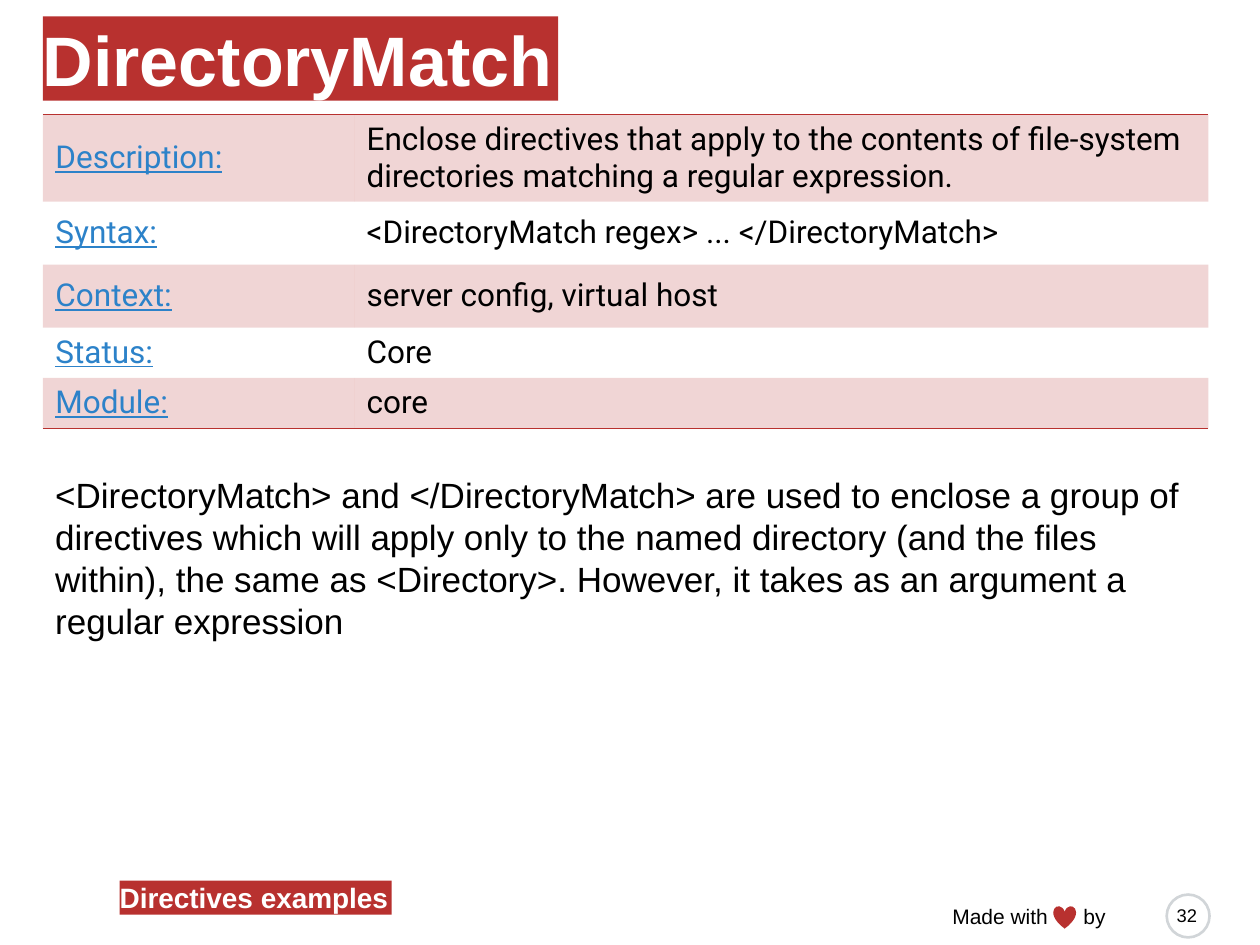
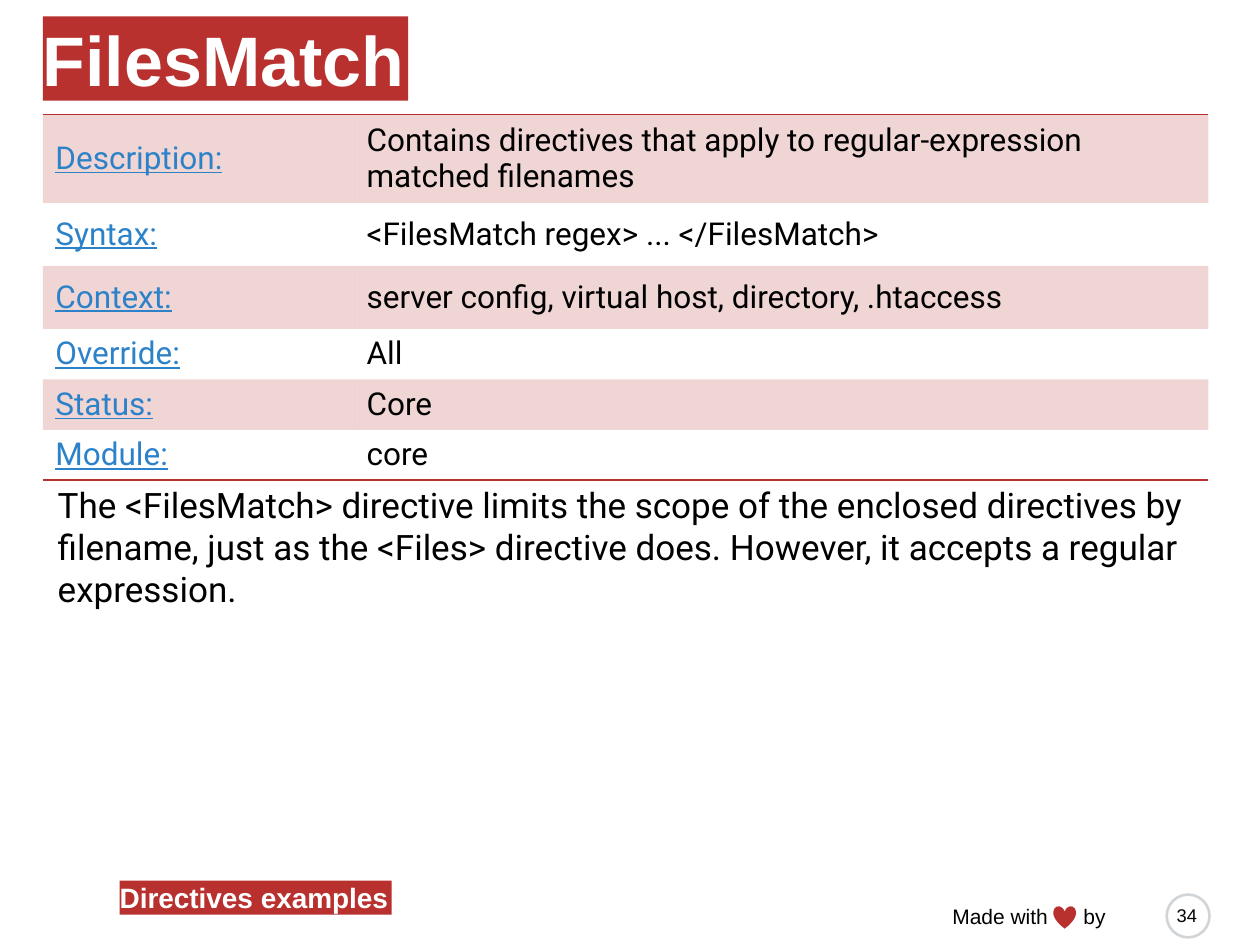
from dataclasses import dataclass

from lxml.etree import SubElement
from pptx import Presentation
from pptx.dml.color import RGBColor
from pptx.enum.shapes import MSO_SHAPE
from pptx.enum.text import MSO_ANCHOR, PP_ALIGN
from pptx.oxml.ns import qn
from pptx.util import Inches, Pt


@dataclass(frozen=True)
class Theme:
    """Colours, fonts and type sizes shared by all slides."""

    accent: str = "B8312F"
    link: str = "2C82C9"
    text: str = "000000"
    paper: str = "FFFFFF"
    ring: str = "D1D5D8"
    sans: str = "Arial"
    table: str = "Roboto"
    title_size: float = 40
    body_size: float = 20
    cell_size: float = 18
    section_size: float = 16
    credit_size: float = 12
    number_size: float = 10.5
    tint_percent: int = 20
    rule_width: float = 1
    ring_width: float = 1.5


THEME = Theme()

DIRECTIVES = [
    {
        "name": "DirectoryMatch",
        "title_width": 4.09,
        "facts": [
            ("Description:", "Enclose directives that apply to the contents of file-system "
             "directories matching a regular expression."),
            ("Syntax:", "<DirectoryMatch regex> ... </DirectoryMatch>"),
            ("Context:", "server config, virtual host"),
            ("Status:", "Core"),
            ("Module:", "core"),
        ],
        "explanation": "<DirectoryMatch> and </DirectoryMatch> are used to enclose a group of "
        "directives which will apply only to the named directory (and the files within), the "
        "same as <Directory>. However, it takes as an argument a regular expression",
        "explanation_box": (0.34, 3.71, 9.14, 1.45),
        "explanation_font": THEME.sans,
        "number": 32,
    },
    {
        "name": "FilesMatch",
        "title_width": 2.9,
        "facts": [
            ("Description:", "Contains directives that apply to regular-expression matched "
             "filenames"),
            ("Syntax:", "<FilesMatch regex> ... </FilesMatch>"),
            ("Context:", "server config, virtual host, directory, .htaccess"),
            ("Override:", "All"),
            ("Status:", "Core"),
            ("Module:", "core"),
        ],
        "explanation": "The <FilesMatch> directive limits the scope of the enclosed directives "
        "by filename, just as the <Files> directive does. However, it accepts a regular "
        "expression.",
        "explanation_box": (0.36, 3.79, 9.14, 1.11),
        "explanation_font": THEME.table,
        "number": 34,
    },
]


def inches(box):
    """Convert a box of plain numbers to lengths."""
    return [Inches(length) for length in box]


def style(paragraph, size, color, font=THEME.sans, bold=False, underline=False):
    """Format the runs of a left-aligned paragraph."""
    paragraph.alignment = PP_ALIGN.LEFT
    for run in paragraph.runs:
        run.font.size = Pt(size)
        run.font.name = font
        run.font.bold = bold
        run.font.underline = underline
        run.font.color.rgb = RGBColor.from_string(color)


def add_text(slide, box, text, size, font=THEME.sans):
    """Add a wrapping text box and return its paragraph."""
    frame = slide.shapes.add_textbox(*inches(box)).text_frame
    frame.word_wrap = True
    frame.text = text
    style(frame.paragraphs[0], size, THEME.text, font)
    return frame.paragraphs[0]


def add_figure(slide, preset, box, fill, outline=None):
    """Add a flat preset shape with an optional outline."""
    figure = slide.shapes.add_shape(preset, *inches(box))
    figure.shadow.inherit = False
    figure.fill.solid()
    figure.fill.fore_color.rgb = RGBColor.from_string(fill)
    if outline:
        figure.line.color.rgb = RGBColor.from_string(outline)
        figure.line.width = Pt(THEME.ring_width)
    else:
        figure.line.fill.background()
    return figure


def add_label(slide, box, text, size):
    """Add bold white text on a tight accent band."""
    frame = add_figure(slide, MSO_SHAPE.RECTANGLE, box, THEME.accent).text_frame
    frame.margin_left = frame.margin_right = frame.margin_top = frame.margin_bottom = 0
    frame.vertical_anchor = MSO_ANCHOR.MIDDLE
    frame.word_wrap = False
    frame.text = text
    style(frame.paragraphs[0], size, THEME.paper, bold=True)


def set_borders(cell, ruled_sides):
    """Rule the given sides of a cell and clear the others."""
    properties = cell._tc.get_or_add_tcPr()
    for side in "LRTB":
        border = SubElement(properties, qn(f"a:ln{side}"), w=str(Pt(THEME.rule_width)))
        if side in ruled_sides:
            solid = SubElement(border, qn("a:solidFill"))
            SubElement(solid, qn("a:srgbClr"), val=THEME.accent)
        else:
            SubElement(border, qn("a:noFill"))


def set_tint(cell):
    """Fill a cell with the translucent accent colour."""
    cell.fill.solid()
    cell.fill.fore_color.rgb = RGBColor.from_string(THEME.accent)
    color = cell._tc.tcPr.find(f"{qn('a:solidFill')}/{qn('a:srgbClr')}")
    SubElement(color, qn("a:alpha"), val=str(THEME.tint_percent * 1000))


def add_facts(slide, left, top, facts):
    """Add the banded table of directive facts."""
    column_widths = (2.47, 6.78)
    row_heights = [0.69, 0.5, 0.5] + [0.4] * (len(facts) - 3)
    box = (left, top, sum(column_widths), sum(row_heights))
    table = slide.shapes.add_table(len(facts), 2, *inches(box)).table
    table.first_row = table.horz_banding = False
    for column, width in zip(table.columns, column_widths):
        column.width = Inches(width)
    for index, (fact, height) in enumerate(zip(facts, row_heights)):
        table.rows[index].height = Inches(height)
        ruled_sides = "T" * (index == 0) + "B" * (index == len(facts) - 1)
        for column, text in enumerate(fact):
            cell = table.cell(index, column)
            cell.vertical_anchor = MSO_ANCHOR.MIDDLE
            cell.text = text
            is_term = column == 0
            style(cell.text_frame.paragraphs[0], THEME.cell_size,
                  THEME.link if is_term else THEME.text, THEME.table, underline=is_term)
            set_borders(cell, ruled_sides)
            if index % 2 == 0:
                set_tint(cell)
            else:
                cell.fill.background()


def add_footer(slide, left, top, number):
    """Add the section label, the credit and the ringed slide number."""
    add_label(slide, (left, top, 2.16, 0.27), "Directives examples", THEME.section_size)
    add_figure(slide, MSO_SHAPE.OVAL, (left + 8.31, top + 0.11, 0.34, 0.34),
               THEME.paper, THEME.ring)
    credit = add_text(slide, (left + 6.51, top + 0.13, 1.68, 0.3), "Made with\tby",
                      THEME.credit_size)
    tabs = SubElement(credit._p.get_or_add_pPr(), qn("a:tabLst"))
    SubElement(tabs, qn("a:tab"), pos=str(Inches(1.04)), algn="l")
    add_figure(slide, MSO_SHAPE.HEART, (left + 7.41, top + 0.2, 0.18, 0.18), THEME.accent)
    add_text(slide, (left + 8.29, top + 0.14, 0.45, 0.4), str(number), THEME.number_size)


def add_directive_slide(deck, directive):
    """Add one slide that describes a directive."""
    slide = deck.slides.add_slide(deck.slide_layouts[6])
    left = 0.34
    add_label(slide, (left, 0.13, directive["title_width"], 0.67), directive["name"],
              THEME.title_size)
    add_facts(slide, left, 0.91, directive["facts"])
    add_text(slide, directive["explanation_box"], directive["explanation"], THEME.body_size,
             directive["explanation_font"])
    add_footer(slide, 0.95, 6.99, directive["number"])


def main():
    """Build and save the deck."""
    deck = Presentation()
    deck.slide_width, deck.slide_height = Inches(10), Inches(7.5)
    for directive in DIRECTIVES:
        add_directive_slide(deck, directive)
    deck.save("out.pptx")


if __name__ == "__main__":
    main()
